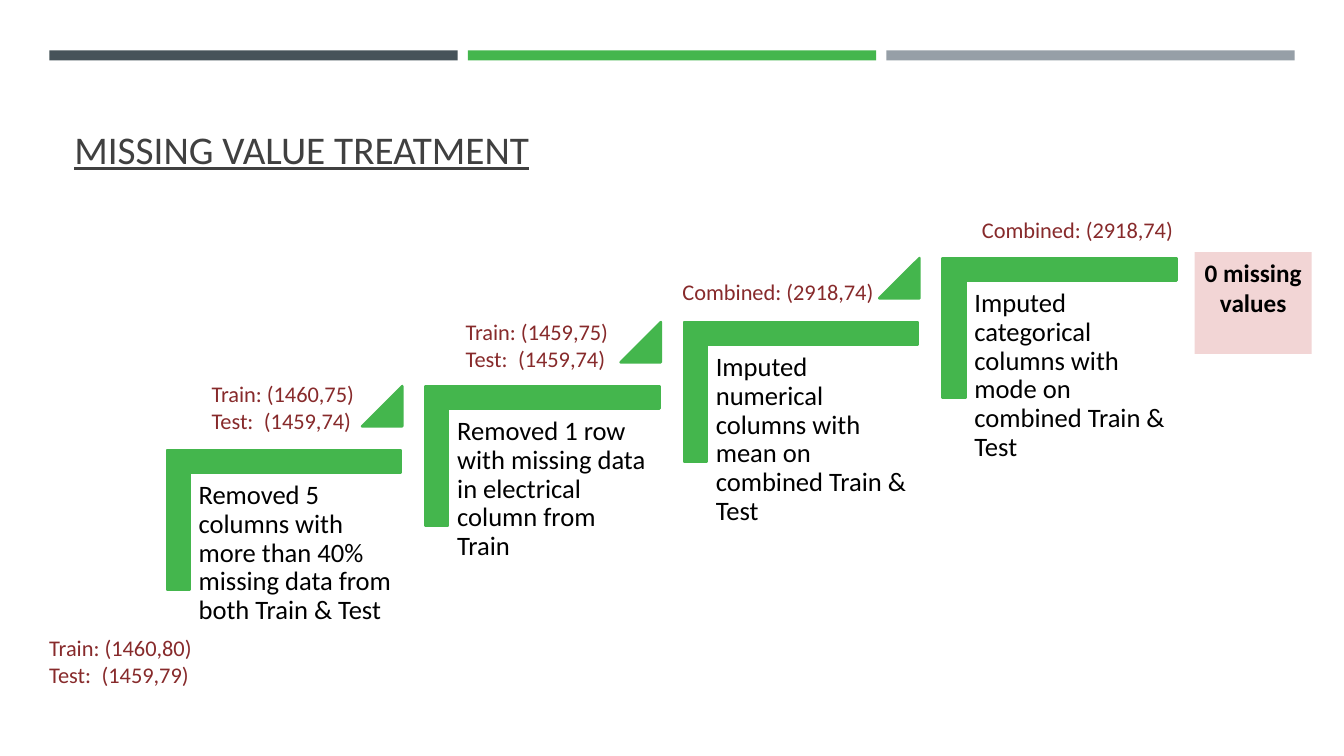
from dataclasses import dataclass
from typing import Optional

from lxml.etree import SubElement
from pptx import Presentation
from pptx.dml.color import RGBColor
from pptx.enum.shapes import MSO_SHAPE
from pptx.enum.text import MSO_ANCHOR, PP_ALIGN
from pptx.oxml.ns import qn
from pptx.shapes.autoshape import Shape
from pptx.slide import Slide
from pptx.util import Inches, Pt


@dataclass(frozen=True)
class Theme:
    """Colours, font and type sizes of the slide."""
    font: str = "Calibri"
    slate: str = "465359"
    green: str = "44B64D"
    grey: str = "969FA7"
    heading: str = "404040"
    body: str = "000000"
    count: str = "872A2B"
    result_fill: str = "F2D5D5"
    title_size: float = 28
    step_size: float = 19
    result_size: float = 18
    count_size: float = 16


@dataclass(frozen=True)
class Box:
    """Position and size in inches."""
    left: float
    top: float
    width: float
    height: float

    def shifted(self, right: float, up: float) -> "Box":
        """Return the box moved right and up."""
        return Box(self.left + right, self.top - up, self.width, self.height)

    def lengths(self) -> tuple[Inches, Inches, Inches, Inches]:
        """Return the four measures as lengths."""
        return (Inches(self.left), Inches(self.top),
                Inches(self.width), Inches(self.height))


@dataclass(frozen=True)
class Count:
    """Row and column counts shown beside a step."""
    box: Box
    text: str


THEME = Theme()
STEP_RIGHT = 2.565
STEP_UP = 0.635
CORNER = Box(2.12, 4, 1.39, 2.32)
STEP_TEXT = Box(1.89, 4.7, 2.1, 1.84)
TRIANGLE = Box(3.59, 3.83, 0.4, 0.4)
STEPS = [
    "Removed 5 columns with more than 40% missing data from both Train & Test",
    "Removed 1 row with missing data in electrical column from Train",
    "Imputed numerical columns with mean on combined Train & Test",
    "Imputed categorical columns with mode on combined Train & Test",
]
COUNTS = [
    Count(Box(0.39, 6.24, 2.07, 0.64), "Train: (1460,80)\nTest:\t(1459,79)"),
    Count(Box(2, 3.72, 2.07, 0.64), "Train: (1460,75)\nTest:\t(1459,74)"),
    Count(Box(4.52, 3.11, 2.07, 0.64), "Train: (1459,75)\nTest:\t(1459,74)"),
    Count(Box(6.67, 2.71, 2.22, 0.37), "Combined: (2918,74)"),
    Count(Box(9.64, 2.1, 2.22, 0.37), "Combined: (2918,74)"),
]


def add_block(slide: Slide, kind: MSO_SHAPE, box: Box, fill: str,
              outline: Optional[float] = None) -> Shape:
    """Add a flat shape, outlined in its own colour if a width is given."""
    block = slide.shapes.add_shape(kind, *box.lengths())
    block.shadow.inherit = False
    block.fill.solid()
    block.fill.fore_color.rgb = RGBColor.from_string(fill)
    if outline is None:
        block.line.fill.background()
    else:
        block.line.color.rgb = RGBColor.from_string(fill)
        block.line.width = Pt(outline)
    return block


def write(shape: Shape, text: str, size: float, color: str,
          bold: bool = False, underline: bool = False) -> None:
    """Set the wrapped text of a shape and format its runs."""
    frame = shape.text_frame
    frame.text = text
    frame.word_wrap = True
    for paragraph in frame.paragraphs:
        for run in paragraph.runs:
            run.font.name = THEME.font
            run.font.size = Pt(size)
            run.font.bold = bold
            run.font.underline = underline
            run.font.color.rgb = RGBColor.from_string(color)


def add_title(slide: Slide) -> None:
    """Add the underlined heading."""
    title = slide.shapes.add_textbox(*Box(0.64, 0.46, 12.06, 1.3).lengths())
    write(title, "MISSING VALUE TREATMENT", THEME.title_size, THEME.heading,
          underline=True)
    title.text_frame.vertical_anchor = MSO_ANCHOR.BOTTOM


def add_step(slide: Slide, index: int, text: str) -> None:
    """Add one stair with its text, and a triangle leading to the next."""
    right, up = index * STEP_RIGHT, index * STEP_UP
    corner = add_block(slide, MSO_SHAPE.CORNER, CORNER.shifted(right, up),
                       THEME.green, outline=1.75)
    corner.rotation = 90
    corner.adjustments[0] = corner.adjustments[1] = 0.161

    label = slide.shapes.add_textbox(*STEP_TEXT.shifted(right, up).lengths())
    write(label, text, THEME.step_size, THEME.body)
    frame = label.text_frame
    frame.margin_left = frame.margin_right = Inches(0.08)
    frame.margin_top = frame.margin_bottom = Inches(0.08)
    frame.paragraphs[0].line_spacing = 0.9

    if index < len(STEPS) - 1:
        triangle = add_block(slide, MSO_SHAPE.ISOSCELES_TRIANGLE,
                             TRIANGLE.shifted(right, up), THEME.green, outline=1.75)
        triangle.adjustments[0] = 1


def add_count(slide: Slide, count: Count) -> None:
    """Add a count label with its tab stop."""
    label = slide.shapes.add_textbox(*count.box.lengths())
    write(label, count.text, THEME.count_size, THEME.count)
    for paragraph in label.text_frame.paragraphs:
        if "\t" in paragraph.text:
            properties = paragraph._p.get_or_add_pPr()
            stops = SubElement(properties, qn("a:tabLst"))
            SubElement(stops, qn("a:tab"), pos=str(Inches(0.52)), algn="l")


def add_result(slide: Slide) -> None:
    """Add the final outcome."""
    result = add_block(slide, MSO_SHAPE.RECTANGLE, Box(11.85, 2.5, 1.16, 1.01),
                       THEME.result_fill)
    write(result, "0 missing values", THEME.result_size, THEME.body, bold=True)
    result.text_frame.vertical_anchor = MSO_ANCHOR.TOP
    result.text_frame.paragraphs[0].alignment = PP_ALIGN.CENTER


def main() -> None:
    """Build and save the slide."""
    deck = Presentation()
    deck.slide_width, deck.slide_height = Inches(13.33), Inches(7.5)
    slide = deck.slides.add_slide(deck.slide_layouts[6])
    for index, color in enumerate([THEME.slate, THEME.green, THEME.grey]):
        bar = Box(0.49 + index * 4.15, 0.5, 4.05, 0.1)
        add_block(slide, MSO_SHAPE.RECTANGLE, bar, color)
    add_title(slide)
    for index, text in enumerate(STEPS):
        add_step(slide, index, text)
    for count in COUNTS:
        add_count(slide, count)
    add_result(slide)
    deck.save("out.pptx")


if __name__ == "__main__":
    main()
